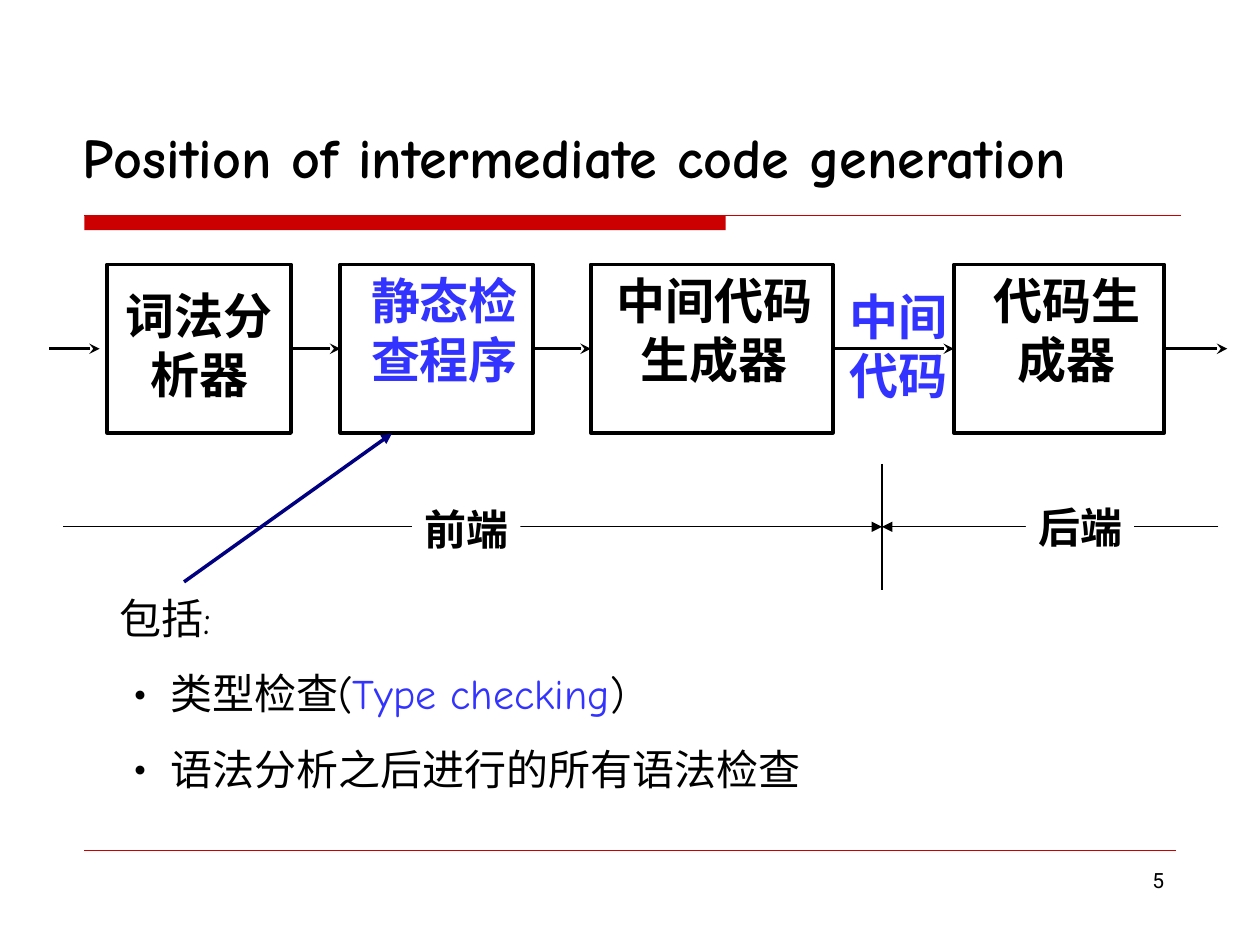
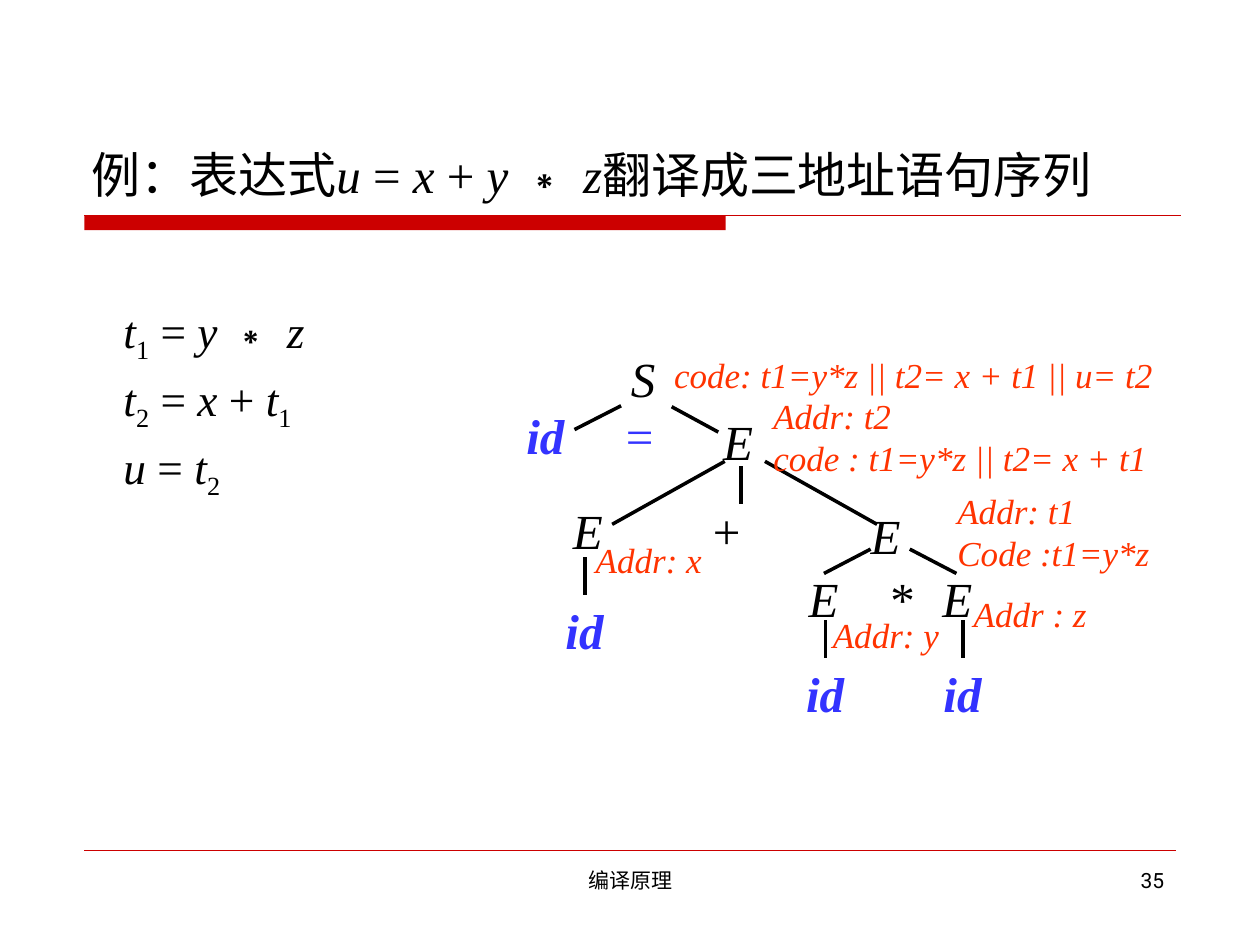
"""Build two compiler-course slides: the code generation pipeline and a three-address translation tree."""
from lxml import etree
from pptx import Presentation
from pptx.dml.color import RGBColor
from pptx.enum.shapes import MSO_CONNECTOR, MSO_SHAPE
from pptx.enum.text import MSO_ANCHOR, MSO_AUTO_SIZE, PP_ALIGN
from pptx.oxml.ns import qn
from pptx.util import Cm, Pt

RECTANGLE = MSO_SHAPE.RECTANGLE
STRAIGHT = MSO_CONNECTOR.STRAIGHT
TOP, BOTTOM = MSO_ANCHOR.TOP, MSO_ANCHOR.BOTTOM
LEFT, CENTER, RIGHT = PP_ALIGN.LEFT, PP_ALIGN.CENTER, PP_ALIGN.RIGHT
FIXED_SIZE = MSO_AUTO_SIZE.NONE
LEFT_SIDE, RIGHT_SIDE = 1, 3

THEME = {
    "black": RGBColor(0x00, 0x00, 0x00),
    "white": RGBColor(0xFF, 0xFF, 0xFF),
    "red": RGBColor(0xCC, 0x00, 0x00),
    "blue": RGBColor(0x33, 0x33, 0xFF),
    "navy": RGBColor(0x00, 0x00, 0x80),
    "orange": RGBColor(0xFF, 0x33, 0x00),
    "chinese": "Noto Sans CJK SC",
    "comic": "Comic Neue",
    "serif": "Times New Roman",
    "sans": "Arial",
    "small": "Roboto",
    "title": 32,
    "node": 28,
    "steps": 25.9,
    "body": 24,
    "note": 20,
    "footer": 12,
}
INSETS = (0.25, 0.13, 0.25, 0.13)


def write(shape, paragraphs, font, size, color="black", bold=False, italic=False, align=LEFT,
          anchor=TOP, insets=INSETS, wrap=True, spacing=None, before=0, bullets=()):
    """Fill a shape with paragraphs, each a list of (text, changes) spans."""
    frame = shape.text_frame
    sides = ("margin_left", "margin_top", "margin_right", "margin_bottom")
    frame_format = dict(zip(sides, map(Cm, insets)))
    frame_format.update(auto_size=FIXED_SIZE, word_wrap=wrap, vertical_anchor=anchor)
    for name, value in frame_format.items():
        setattr(frame, name, value)
    for index, spans in enumerate(paragraphs):
        para = frame.add_paragraph() if index else frame.paragraphs[0]
        para_format = {"alignment": align, "line_spacing": spacing,
                       "space_before": Pt(before if index else 0)}
        for name, value in para_format.items():
            setattr(para, name, value)
        if index in bullets:
            properties = para._p.get_or_add_pPr()
            properties.set("marL", str(Cm(1.02)))
            properties.set("indent", str(-Cm(1.02)))
            etree.SubElement(properties, qn("a:buFont"), typeface=THEME["chinese"])
            etree.SubElement(properties, qn("a:buChar"), char="•")
        for text, changes in spans:
            look = {"font": font, "color": color, "bold": bold, "italic": italic, **changes}
            span = para.add_run()
            span.text = text
            font_format = {"name": THEME[look["font"]], "size": Pt(THEME[size]),
                           "bold": look["bold"], "italic": look["italic"]}
            for name, value in font_format.items():
                setattr(span.font, name, value)
            span.font.color.rgb = THEME[look["color"]]
            properties = span._r.get_or_add_rPr()
            if "baseline" in look:
                properties.set("baseline", look["baseline"])
            east_asian = etree.Element(qn("a:ea"), typeface=THEME["chinese"])
            properties.find(qn("a:latin")).addnext(east_asian)


def draw_line(page, x1, y1, x2, y2, color="black", width=2, arrow=None, start=None, end=None):
    """Draw a straight line, optionally with an arrowhead and joined to boxes."""
    line = page.shapes.add_connector(STRAIGHT, Cm(x1), Cm(y1), Cm(x2), Cm(y2))
    line.line.color.rgb = THEME[color]
    line.line.width = Pt(width)
    if arrow:
        etree.SubElement(line.line._get_or_add_ln(), qn("a:tailEnd"), type=arrow)
    etree.SubElement(line._element.spPr, qn("a:effectLst"))
    if start is not None:
        line.begin_connect(start, RIGHT_SIDE)
    if end is not None:
        line.end_connect(end, LEFT_SIDE)


VARIABLE = {"italic": True}
SUBSCRIPT = {"baseline": "-25000"}
STAR = ("∗ ", {"font": "sans"})
PLAIN = {}

deck = Presentation()
deck.slide_width, deck.slide_height = Cm(25.4), Cm(19.05)
title_only = deck.slide_layouts[5]

titles = [
    ((1.42, 0.61, 22.96, 3.35), [("Position of intermediate code generation", PLAIN)],
     {"font": "comic", "size": "title", "bold": True}),
    ((1.6, 0.84, 22.23, 3.38),
     [("例：表达式", PLAIN), ("u ", VARIABLE), ("= ", PLAIN), ("x", VARIABLE), (" + ", PLAIN),
      ("y ", VARIABLE), STAR, ("z", VARIABLE), ("翻译成三地址语句序列", PLAIN)],
     {"font": "serif", "size": "node"}),
]
number_place = (18.21, 17.35, 5.51, 1.32)
course_place = (8.69, 17.35, 8.05, 1.32)
footers = [
    [("5", number_place, RIGHT)],
    [("编译原理", course_place, CENTER), ("35", number_place, RIGHT)],
]

for (place, spans, look), footer in zip(titles, footers):
    page = deck.slides.add_slide(title_only)
    title = page.shapes.title
    for name, value in zip(("left", "top", "width", "height"), place):
        setattr(title, name, Cm(value))
    write(title, [spans], anchor=BOTTOM, **look)
    band = page.shapes.add_shape(RECTANGLE, Cm(1.7), Cm(4.34), Cm(12.93), Cm(0.3))
    band.shadow.inherit = False
    band.fill.solid()
    band.fill.fore_color.rgb = THEME["red"]
    band.line.fill.background()
    draw_line(page, 1.7, 4.34, 23.8, 4.34, "red", 0.75)
    draw_line(page, 1.7, 17.15, 23.7, 17.15, "red", 0.25)
    for text, place, align in footer:
        box = page.shapes.add_textbox(*map(Cm, place))
        write(box, [[(text, PLAIN)]], "small", "footer", align=align)

pipeline, translation = deck.slides

stage_top, stage_height = 5.33, 3.4
flow = stage_top + stage_height / 2
stages = [
    (2.16, 3.71, ["词法分析器"], "black", (0.25, 0.43, 0.25, 0.13)),
    (6.86, 3.89, ["静态检查程序"], "blue", (0.36, 0.13, 0.05, 0.03)),
    (11.91, 4.88, ["中间代码", "生成器"], "black", (0.15, 0.13, 0.05, 0.03)),
    (19.23, 4.24, ["代码生成器"], "black", (0.36, 0.13, 0.05, 0.03)),
]
boxes = []
for left, width, lines, color, insets in stages:
    box = pipeline.shapes.add_shape(RECTANGLE, Cm(left), Cm(stage_top), Cm(width), Cm(stage_height))
    box.shadow.inherit = False
    box.fill.background()
    box.line.color.rgb = THEME["black"]
    box.line.width = Pt(2)
    write(box, [[(line, PLAIN)] for line in lines], "chinese", "node", color, bold=True,
          align=CENTER, insets=insets)
    boxes.append(box)

middle_code = pipeline.shapes.add_textbox(Cm(16.84), Cm(5.74), Cm(2.74), Cm(3.4))
write(middle_code, [[("中间", PLAIN)], [("代码", PLAIN)]], "chinese", "node", "blue", bold=True,
      align=CENTER, insets=(0.05, 0.03, 0.25, 0.13))

draw_line(pipeline, 0.99, flow, 2.01, flow, arrow="stealth")
for source, target in zip(boxes, boxes[1:]):
    draw_line(pipeline, 0, flow, 1, flow, arrow="stealth", start=source, end=target)
draw_line(pipeline, 23.47, flow, 24.74, flow, arrow="stealth", start=boxes[-1])

divider, span_level = 17.78, 10.62
draw_line(pipeline, divider, 9.35, divider, 11.89, width=0.75)
for outer_end in (1.27, 24.56):
    draw_line(pipeline, outer_end, span_level, divider, span_level, width=0.75, arrow="triangle")
for text, left, top in [("前端", 8.31, 10.03), ("后端", 20.68, 9.98)]:
    label = pipeline.shapes.add_shape(RECTANGLE, Cm(left), Cm(top), Cm(2.18), Cm(1.27))
    label.shadow.inherit = False
    label.fill.solid()
    label.fill.fore_color.rgb = THEME["white"]
    label.line.fill.background()
    write(label, [[(text, PLAIN)]], "chinese", "body", bold=True, wrap=False)

checks = pipeline.shapes.add_textbox(Cm(2.16), Cm(11.3), Cm(20.8), Cm(4.83))
write(checks, [
    [("包括:", PLAIN)],
    [("类型检查(", PLAIN), ("Type checking", {"color": "blue"}), (")", PLAIN)],
    [("语法分析之后进行的所有语法检查", PLAIN)],
], "comic", "body", anchor=BOTTOM, spacing=1.5, bullets=(1, 2))
draw_line(pipeline, 3.71, 11.73, 7.9, 8.74, "navy", arrow="triangle")

steps = translation.shapes.add_textbox(Cm(2.24), Cm(6), Cm(8), Cm(4.6))
write(steps, [
    [("t", VARIABLE), ("1", SUBSCRIPT), (" = ", PLAIN), ("y ", VARIABLE), STAR, ("z", VARIABLE)],
    [("t", VARIABLE), ("2", SUBSCRIPT), (" = ", PLAIN), ("x", VARIABLE), (" + ", PLAIN),
     ("t", VARIABLE), ("1", SUBSCRIPT)],
    [("u", VARIABLE), (" = ", PLAIN), ("t", VARIABLE), ("2", SUBSCRIPT)],
], "serif", "steps", spacing=0.9, before=7)

symbol = {"italic": True}
terminal = {"color": "blue", "bold": True, "italic": True}
nodes = [
    ("S", 12.47, 6.99, symbol),
    ("id", 10.36, 8.15, terminal),
    ("=", 12.37, 8.15, {"color": "blue"}),
    ("E", 14.33, 8.26, symbol),
    ("E", 11.3, 10.06, symbol),
    ("+", 14.12, 10.06, PLAIN),
    ("E", 17.3, 10.16, symbol),
    ("E", 16.05, 11.43, symbol),
    ("*", 17.7, 11.43, PLAIN),
    ("E", 18.75, 11.43, symbol),
    ("id", 11.15, 12.07, terminal),
    ("id", 16, 13.34, terminal),
    ("id", 18.77, 13.34, terminal),
]
for text, left, top, look in nodes:
    box = translation.shapes.add_textbox(Cm(left), Cm(top), Cm(1.5), Cm(1.1))
    write(box, [[(text, look)]], "serif", "node", insets=(0.25, 0.03, 0.25, 0.03))

branches = [
    (12.52, 8.18, 11.58, 8.66),
    (13.54, 8.2, 14.48, 8.71),
    (14.61, 9.3, 12.34, 10.57),
    (15.42, 9.3, 17.68, 10.57),
    (17.55, 11.07, 16.61, 11.56),
    (18.34, 11.07, 19.28, 11.56),
]
stems = [(14.94, 9.4), (11.79, 11.23), (16.64, 12.5), (19.41, 12.5)]
for ends in branches + [(x, y, x, y + 0.76) for x, y in stems]:
    draw_line(translation, *ends)

attributes = [
    (["Addr: x"], 11.76, 10.72, 3),
    (["Addr: y"], 16.54, 12.24, 3),
    (["Addr : z"], 19.38, 11.81, 3),
    (["Addr: t1", "Code :t1=y*z"], 19.05, 9.73, 5),
    (["Addr: t2", "code : t1=y*z || t2= x + t1"], 15.34, 7.82, 9.2),
    (["code: t1=y*z || t2= x + t1 || u= t2"], 13.34, 6.99, 11),
]
for lines, left, top, width in attributes:
    box = translation.shapes.add_textbox(Cm(left), Cm(top), Cm(width), Cm(0.28 + 0.84 * len(lines)))
    write(box, [[(line, PLAIN)] for line in lines], "serif", "note", "orange", italic=True)

deck.save("out.pptx")
